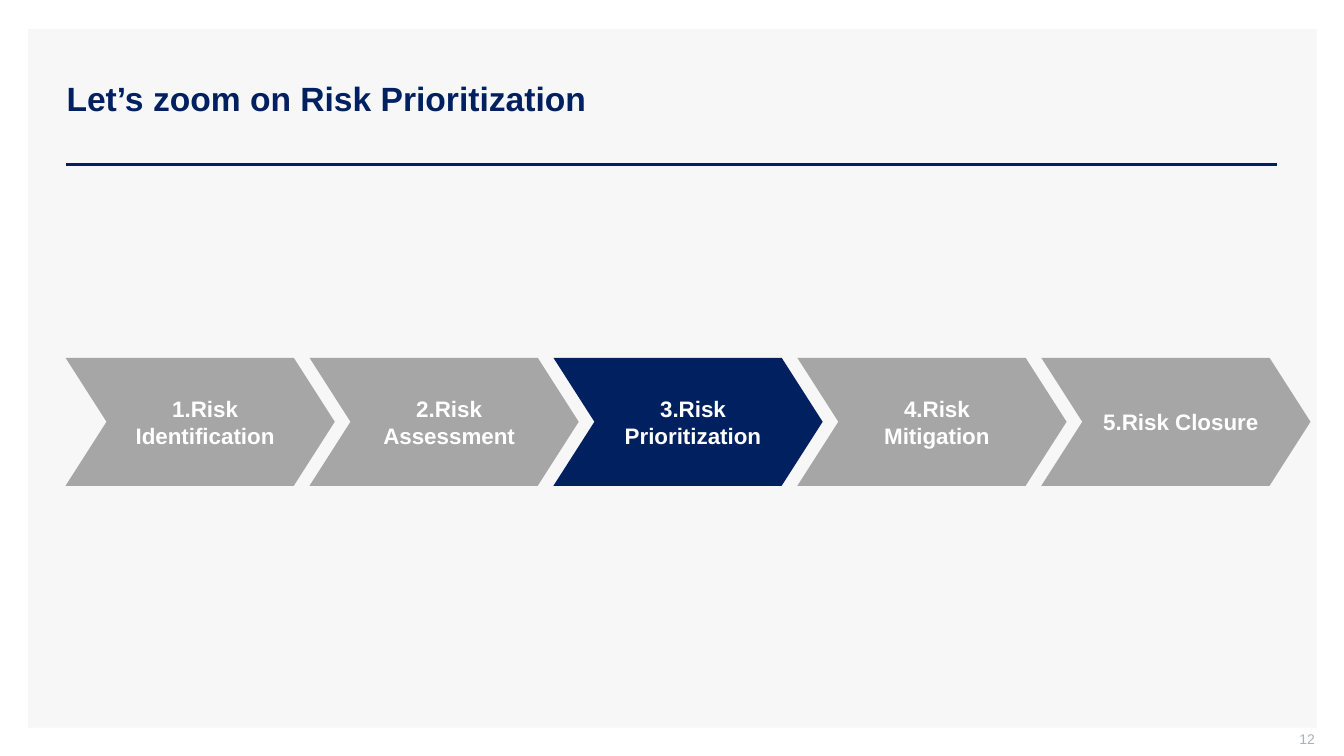
"""Build the risk prioritization slide with its five-step chevron process."""
from dataclasses import dataclass

from lxml.etree import SubElement
from pptx import Presentation
from pptx.dml.color import RGBColor
from pptx.enum.shapes import MSO_CONNECTOR as Connector, MSO_SHAPE as Shape
from pptx.enum.text import MSO_ANCHOR as Anchor, MSO_AUTO_SIZE as AutoSize, PP_ALIGN as Align
from pptx.oxml.ns import qn
from pptx.shapes.autoshape import Shape as AutoShape
from pptx.slide import Slide
from pptx.text.text import TextFrame
from pptx.util import Inches, Pt

COLORS = {
    "panel": "F7F7F7",
    "navy": "002060",
    "gray": "A6A6A6",
    "white": "FFFFFF",
    "page_number": "ADAFBB",
}
FONT = "Arial"
SLIDE_WIDTH = Inches(13.33)
SLIDE_HEIGHT = Inches(7.5)
STEP_PITCH = 18.15


@dataclass(frozen=True)
class Box:
    """Position and size in percent of the slide."""

    left: float
    top: float
    width: float
    height: float

    def lengths(self) -> tuple[int, int, int, int]:
        """Return left, top, width and height in slide units."""
        return (
            int(SLIDE_WIDTH * self.left / 100),
            int(SLIDE_HEIGHT * self.top / 100),
            int(SLIDE_WIDTH * self.width / 100),
            int(SLIDE_HEIGHT * self.height / 100),
        )


@dataclass(frozen=True)
class Step:
    """One stage of the risk process."""

    label: str
    color: str = "gray"


PANEL = Box(2.1, 3.87, 95.87, 92.4)
TITLE = Box(4.2, 5.33, 90.85, 15.87)
RULE = Box(4.95, 21.73, 90.1, 0)
PAGE_NUMBER = Box(75.32, 96.67, 22.51, 2.8)
FIRST_STEP = Box(4.88, 47.33, 20.03, 16.93)
STEPS = (
    Step("1.Risk Identification"),
    Step("2.Risk Assessment"),
    Step("3.Risk Prioritization", "navy"),
    Step("4.Risk Mitigation"),
    Step("5.Risk Closure"),
)


def rgb(name: str) -> RGBColor:
    """Look up a named colour."""
    return RGBColor.from_string(COLORS[name])


def write_text(frame: TextFrame, text: str, size: int, color: str, align: Align, bold: bool) -> None:
    """Fill a text frame with one formatted, vertically centred paragraph."""
    frame.text = text
    frame.word_wrap = True
    frame.auto_size = AutoSize.NONE
    frame.vertical_anchor = Anchor.MIDDLE
    paragraph = frame.paragraphs[0]
    paragraph.alignment = align
    font = paragraph.runs[0].font
    font.name = FONT
    font.size = Pt(size)
    font.bold = bold
    font.color.rgb = rgb(color)


def add_filled_shape(slide: Slide, kind: Shape, box: Box, color: str) -> AutoShape:
    """Add a flat shape without outline."""
    shape = slide.shapes.add_shape(kind, *box.lengths())
    shape.shadow.inherit = False
    shape.fill.solid()
    shape.fill.fore_color.rgb = rgb(color)
    shape.line.fill.background()
    return shape


def add_title(slide: Slide, text: str) -> None:
    """Place the title over its panel and underline it with a rule."""
    title = slide.shapes.title
    title.left, title.top, title.width, title.height = TITLE.lengths()
    write_text(title.text_frame, text, 24, "navy", Align.LEFT, True)
    title.text_frame.paragraphs[0].line_spacing = 0.9
    panel = add_filled_shape(slide, Shape.RECTANGLE, PANEL, "panel")
    title.element.addprevious(panel.element)

    left, top, width, height = RULE.lengths()
    rule = slide.shapes.add_connector(Connector.STRAIGHT, left, top, left + width, top + height)
    rule.line.color.rgb = rgb("navy")
    rule.line.width = Pt(2)
    SubElement(rule.element.spPr, qn("a:effectLst"))


def add_page_number(slide: Slide, number: str) -> None:
    """Write the page number at the lower right."""
    frame = slide.shapes.add_textbox(*PAGE_NUMBER.lengths()).text_frame
    frame.margin_top = frame.margin_right = 0
    write_text(frame, number, 10, "page_number", Align.RIGHT, False)


def add_step(slide: Slide, step: Step, index: int) -> None:
    """Draw one chevron of the process."""
    box = Box(
        FIRST_STEP.left + index * STEP_PITCH, FIRST_STEP.top, FIRST_STEP.width, FIRST_STEP.height
    )
    chevron = add_filled_shape(slide, Shape.CHEVRON, box, step.color)
    chevron.adjustments[0] = 0.32
    chevron.text_frame.margin_right = 0
    write_text(chevron.text_frame, step.label, 16, "white", Align.CENTER, True)


def main() -> None:
    """Assemble and save the presentation."""
    presentation = Presentation()
    presentation.slide_width = SLIDE_WIDTH
    presentation.slide_height = SLIDE_HEIGHT
    slide = presentation.slides.add_slide(presentation.slide_layouts.get_by_name("Title Only"))
    add_title(slide, "Let’s zoom on Risk Prioritization")
    add_page_number(slide, "12")
    for index, step in enumerate(STEPS):
        add_step(slide, step, index)
    presentation.save("out.pptx")


if __name__ == "__main__":
    main()
